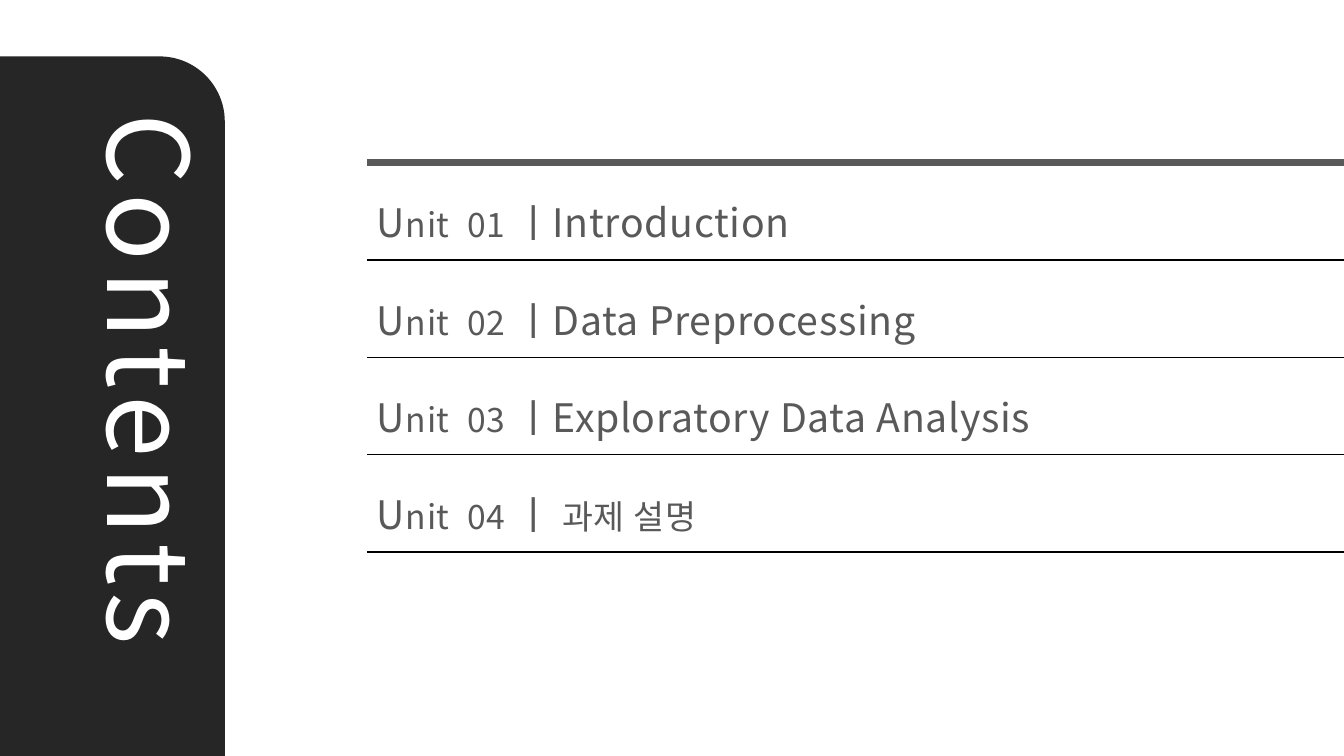
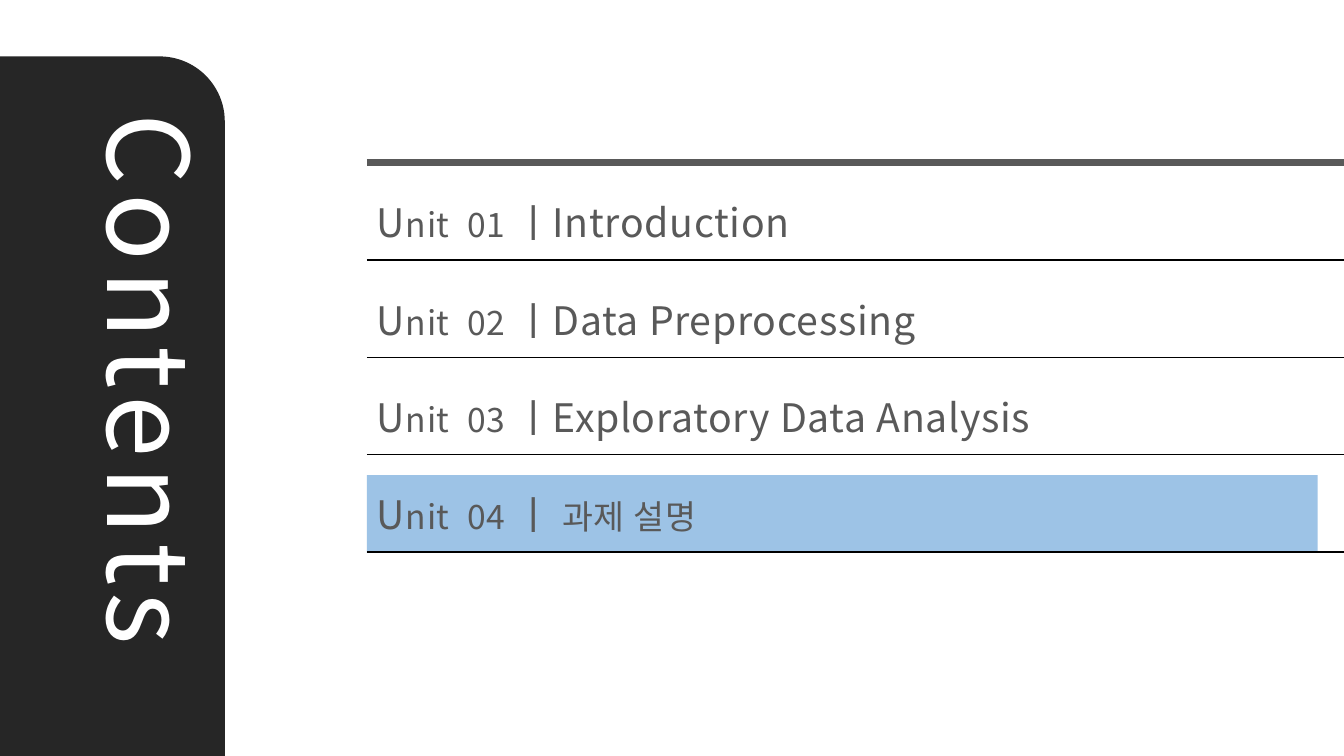
"""Build two contents slides, the second with its last unit marked."""
from typing import NamedTuple, Optional

from lxml.etree import SubElement
from pptx import Presentation
from pptx.dml.color import RGBColor
from pptx.enum.shapes import MSO_CONNECTOR as Link, MSO_SHAPE as Form
from pptx.enum.text import MSO_ANCHOR as Anchor, MSO_AUTO_SIZE as Fit, PP_ALIGN as Align
from pptx.oxml import parse_xml
from pptx.oxml.ns import nsdecls, qn
from pptx.util import Inches, Pt

FONT = "Noto Sans CJK KR"
DARK = RGBColor(0x26, 0x26, 0x26)
GREY = RGBColor(0x59, 0x59, 0x59)
BLACK = RGBColor(0, 0, 0)
WHITE = RGBColor(255, 255, 255)
BLUE = RGBColor(0x9D, 0xC3, 0xE6)

WIDTH, HEIGHT = 13.33, 7.5
LEFT, TOP = 3.64, 1.82
ROW_W, ROW_H, STEP = 9.43, 0.77, 0.965
LARGE, SMALL = 28, 24
TAB = 0.9


class Unit(NamedTuple):
    name: str
    lead: str = " ㅣ"
    size: int = LARGE


UNITS = [
    Unit("Introduction"),
    Unit("Data Preprocessing"),
    Unit("Exploratory Data Analysis"),
    Unit("과제 설명", " ㅣ ", SMALL),
]
MARKS: list[dict[int, RGBColor]] = [{}, {1: WHITE, 3: BLUE}]


def style(para, size: float, color: RGBColor, space: float) -> None:
    para.alignment = Align.LEFT
    font = para.font
    font.name, font.size = FONT, Pt(size)
    font.color.rgb = color
    props = para._p.pPr.find(qn("a:defRPr"))
    props.set("spc", str(round(space * 100)))
    SubElement(props, qn("a:ea")).set("typeface", FONT)


def add_line(shapes, y: float, color: RGBColor, weight: float) -> None:
    line = shapes.add_connector(
        Link.STRAIGHT, Inches(LEFT), Inches(y), Inches(WIDTH), Inches(y))
    line.line.color.rgb = color
    line.line.width = Pt(weight)
    SubElement(line._element.spPr, qn("a:effectLst"))


def add_band(slide) -> None:
    band = slide.shapes.add_shape(
        Form.ROUND_1_RECTANGLE, 0, Inches(0.56), Inches(2.23), Inches(HEIGHT - 0.56))
    band.adjustments[0] = 0.29
    band.shadow.inherit = False
    band.fill.solid()
    band.fill.fore_color.rgb = DARK
    band.line.fill.background()
    slide.shapes._spTree.insert(2, band._element)


def add_title(slide) -> None:
    title = slide.shapes.title
    title.left, title.top = Inches(-1.98), Inches(3.79)
    title.width, title.height = Inches(6.97), Inches(1.45)
    title.rotation = 90
    frame = title.text_frame
    frame.text = "Contents"
    frame.word_wrap = True
    frame.auto_size = Fit.SHAPE_TO_FIT_TEXT
    frame.vertical_anchor = Anchor.TOP
    style(frame.paragraphs[0], 80, WHITE, 6)


def add_unit(slide, index: int, unit: Unit, fill: Optional[RGBColor]) -> None:
    shapes = slide.shapes.add_group_shape().shapes
    top = TOP + index * STEP
    area = Inches(LEFT), Inches(top), Inches(ROW_W), Inches(ROW_H)
    if fill is None:
        box = shapes.add_textbox(*area)
    else:
        box = shapes.add_shape(Form.RECTANGLE, *area)
        box.shadow.inherit = False
        box.fill.solid()
        box.fill.fore_color.rgb = fill
        box.line.fill.background()
    frame = box.text_frame
    frame.word_wrap = True
    frame.vertical_anchor = Anchor.MIDDLE
    para = frame.paragraphs[0]
    style(para, LARGE, GREY, 0.5)
    para._p.pPr.insert(0, parse_xml(
        f'<a:tabLst {nsdecls("a")}><a:tab pos="{Inches(TAB)}" algn="l"/></a:tabLst>'))
    parts = [("U", LARGE), ("nit", SMALL), ("\t", LARGE), (f"{index + 1:02}", SMALL),
             (unit.lead, LARGE), (unit.name, unit.size)]
    for text, size in parts:
        run = para.add_run()
        run.text = text
        run.font.size = Pt(size)
    add_line(shapes, top + ROW_H - 0.01, BLACK, 1)


def add_page(deck, marks: dict[int, RGBColor]) -> None:
    slide = deck.slides.add_slide(deck.slide_layouts[5])
    add_band(slide)
    add_title(slide)
    add_line(slide.shapes, 1.61, GREY, 5)
    for index, unit in enumerate(UNITS):
        add_unit(slide, index, unit, marks.get(index))


def main() -> None:
    deck = Presentation()
    deck.slide_width, deck.slide_height = Inches(WIDTH), Inches(HEIGHT)
    for marks in MARKS:
        add_page(deck, marks)
    deck.save("out.pptx")


main()
